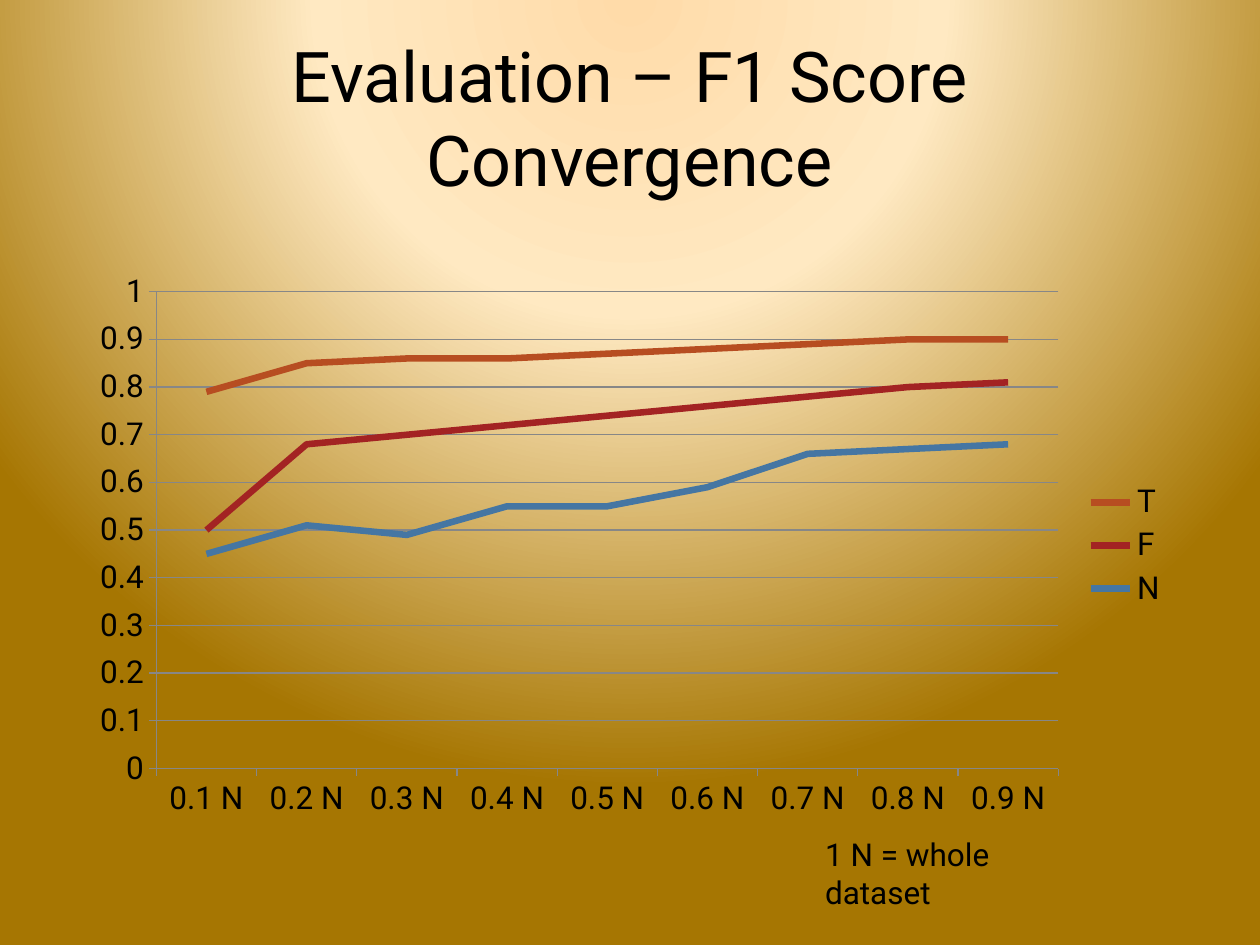
from lxml import etree
from pptx import Presentation
from pptx import util as u
from pptx.chart.data import CategoryChartData
from pptx.dml.color import RGBColor
from pptx.enum import chart as ch, text
from pptx.oxml import ns

FONT = "Roboto"
BLACK, GREY = "000000", "878787"
STOPS = [(0, "FFDBA9"), (40, "FFE9C2"), (100, "A67602")]
FOCUS = {"l": 50, "t": -80, "r": 50, "b": 180}
CATEGORIES = [f"0.{i} N" for i in range(1, 10)]
SERIES = [
    ("T", "B74D21", [0.79, 0.85, 0.86, 0.86, 0.87, 0.88, 0.89, 0.9, 0.9]),
    ("F", "A32323", [0.5, 0.68, 0.7, 0.72, 0.74, 0.76, 0.78, 0.8, 0.81]),
    ("N", "4576A3", [0.45, 0.51, 0.49, 0.55, 0.55, 0.59, 0.66, 0.67, 0.68]),
]


def rgb(value):
    return RGBColor.from_string(value)


def set_font(font, size, color=BLACK):
    font.name, font.size, font.bold = FONT, u.Pt(size), False
    font.color.rgb = rgb(color)


def set_line(line, color, width):
    line.color.rgb = rgb(color)
    line.width = u.Pt(width)


def add_text(s, content, box, size, align=text.PP_ALIGN.LEFT, anchor=text.MSO_ANCHOR.TOP):
    tf = s.shapes.add_textbox(*map(u.Inches, box)).text_frame
    tf.word_wrap = True
    tf.vertical_anchor = anchor
    p = tf.paragraphs[0]
    p.alignment = align
    r = p.add_run()
    r.text = content
    set_font(r.font, size)


def add_background(s):
    fill = s.background.fill
    fill.gradient()
    grad = s.background._cSld.find(".//" + ns.qn("a:gradFill"))
    for child in list(grad):
        grad.remove(child)
    stops = etree.SubElement(grad, ns.qn("a:gsLst"))
    for pos, color in STOPS:
        stop = etree.SubElement(stops, ns.qn("a:gs"), pos=str(pos * 1000))
        etree.SubElement(stop, ns.qn("a:srgbClr"), val=color)
    circle = etree.SubElement(grad, ns.qn("a:path"), {"path": "circle"})
    focus = {side: str(value * 1000) for side, value in FOCUS.items()}
    etree.SubElement(circle, ns.qn("a:fillToRect"), focus)


def add_score_chart(s, box):
    data = CategoryChartData()
    data.categories = CATEGORIES
    for name, _, values in SERIES:
        data.add_series(name, values)
    chart = s.shapes.add_chart(ch.XL_CHART_TYPE.LINE, *map(u.Inches, box), data).chart
    set_font(chart.font, 18)
    chart.has_title = False
    chart.has_legend = True
    chart.legend.position = ch.XL_LEGEND_POSITION.RIGHT
    chart.legend.include_in_layout = False
    chart.plots[0].vary_by_categories = False
    for series, (_, color, _) in zip(chart.plots[0].series, SERIES):
        series.smooth = False
        series.marker.style = ch.XL_MARKER_STYLE.NONE
        set_line(series.format.line, color, 3.75)
    for axis in (chart.category_axis, chart.value_axis):
        axis.major_tick_mark = ch.XL_TICK_MARK.OUTSIDE
        axis.minor_tick_mark = ch.XL_TICK_MARK.NONE
        set_line(axis.format.line, GREY, 0.75)
    scores = chart.value_axis
    scores.minimum_scale, scores.maximum_scale, scores.major_unit = 0, 1, 0.1
    scores.has_major_gridlines = True
    set_line(scores.major_gridlines.format.line, GREY, 0.75)


def main():
    prs = Presentation()
    prs.slide_width, prs.slide_height = u.Inches(10), u.Inches(7.5)
    s = prs.slides.add_slide(prs.slide_layouts[6])
    add_background(s)
    add_text(s, "Evaluation – F1 Score Convergence", (0.62, 0.3, 8.75, 1.25), 40,
             align=text.PP_ALIGN.CENTER, anchor=text.MSO_ANCHOR.MIDDLE)
    add_score_chart(s, (0.62, 2.08, 8.75, 4.5))
    add_text(s, "1 N = whole dataset", (6.45, 6.58, 2.38, 0.4), 18)
    prs.save("out.pptx")


if __name__ == "__main__":
    main()
